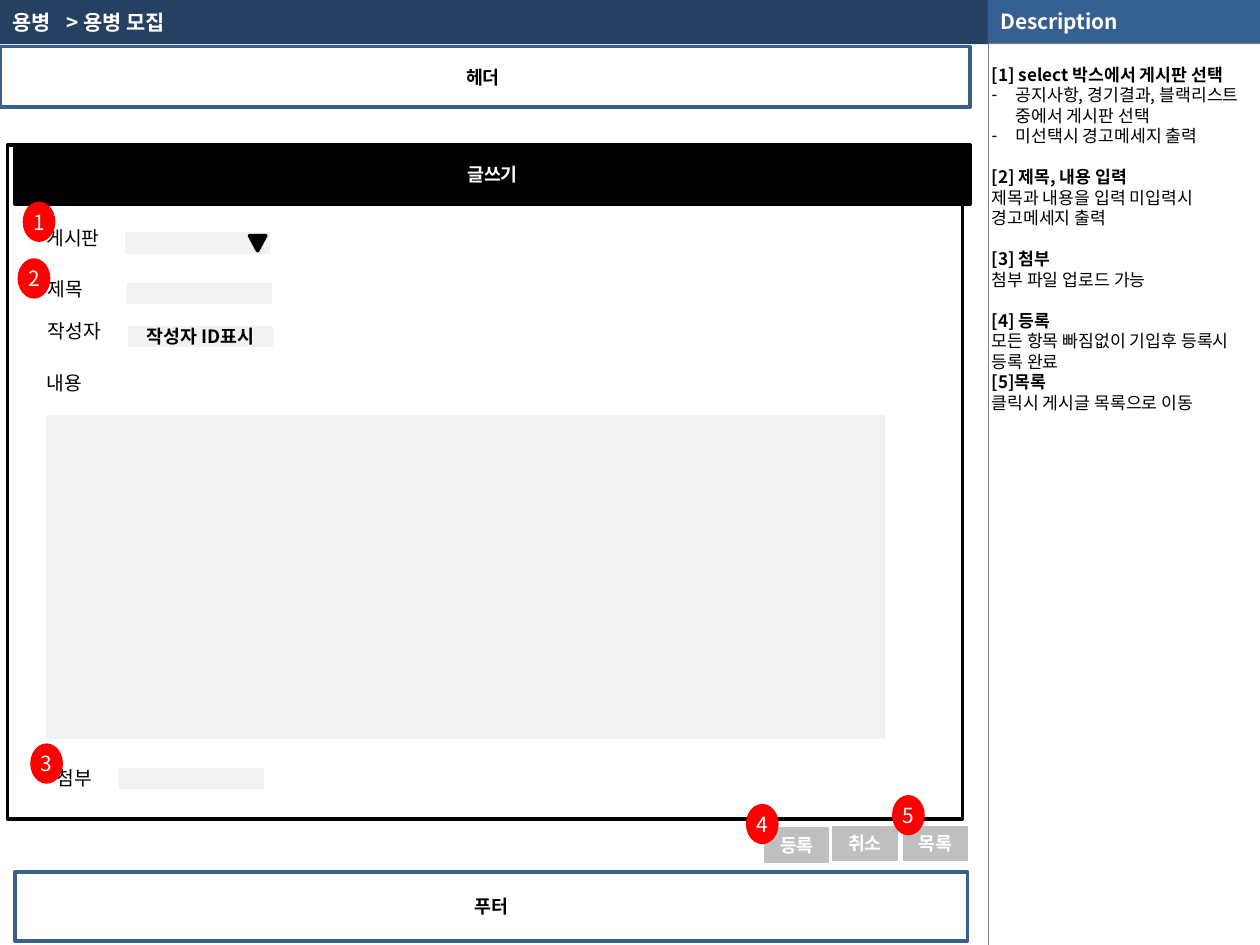
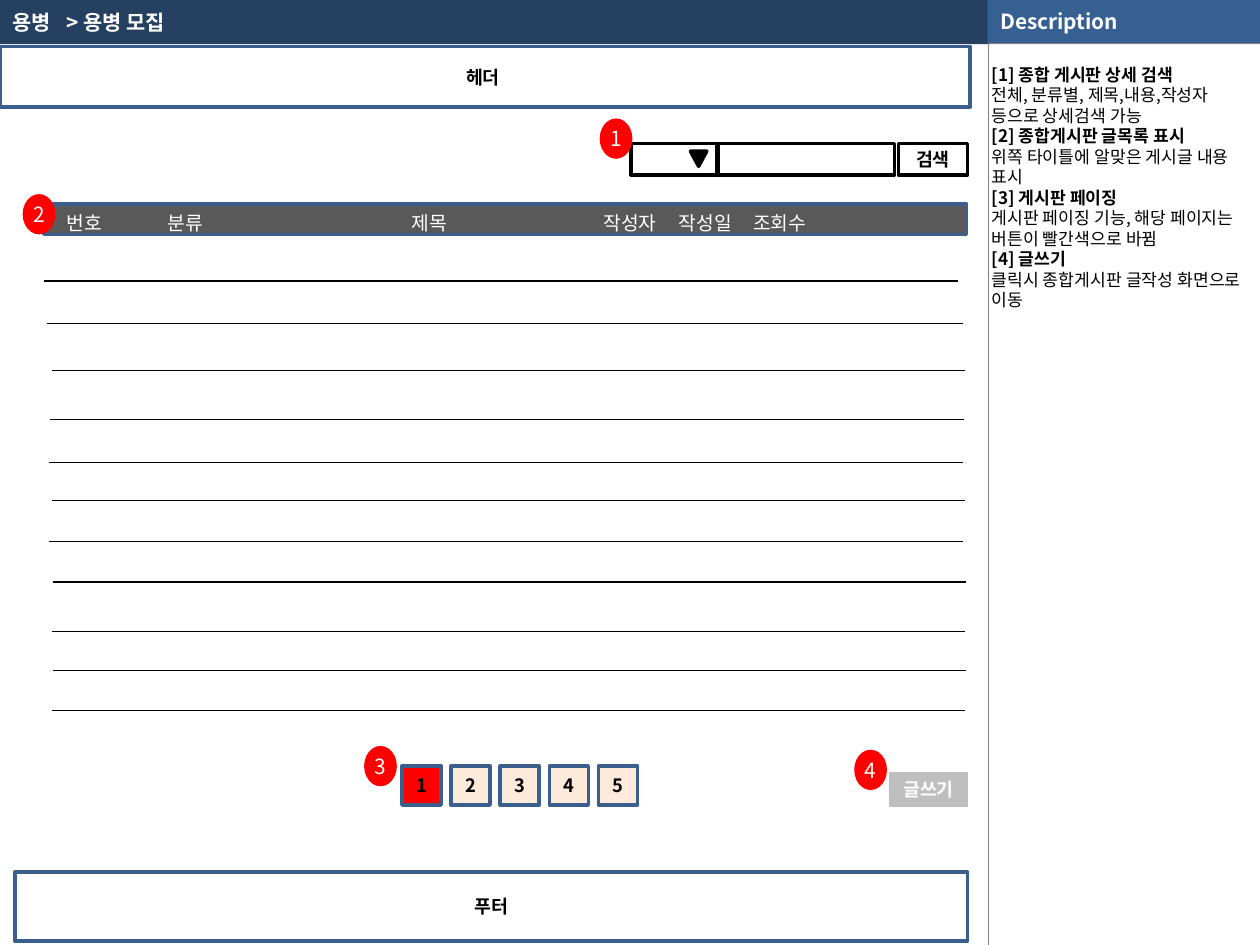
from dataclasses import dataclass

from lxml.etree import SubElement
from pptx import Presentation
from pptx.dml.color import RGBColor as Rgb
from pptx.enum.shapes import MSO_CONNECTOR as Link, MSO_SHAPE as Form
from pptx.enum.text import MSO_ANCHOR as Anchor, MSO_AUTO_SIZE as Fit, PP_ALIGN as Align
from pptx.oxml.ns import qn
from pptx.util import Inches, Pt


@dataclass(frozen=True)
class Theme:
    font: str = "Noto Sans CJK KR"
    navy: str = "254061"
    blue: str = "376092"
    edge: str = "3A5F8C"
    gray: str = "808080"
    rule: str = "7F7F7F"
    dark: str = "595959"
    mid: str = "BFBFBF"
    pale: str = "F2F2F2"
    peach: str = "FDEADA"
    red: str = "FF0000"
    black: str = "000000"
    white: str = "FFFFFF"
    head: float = 11.9
    label: float = 11
    box: float = 10.5
    note: float = 9.8
    lead: float = 11.7


T = Theme()

WRITE = [
    ("[1] select 박스에서 게시판 선택",
     ["- 공지사항, 경기결과, 블랙리스트 중에서 게시판 선택", "- 미선택시 경고메세지 출력"], False),
    ("[2] 제목, 내용 입력", ["제목과 내용을 입력 미입력시", "경고메세지 출력"], True),
    ("[3] 첨부", ["첨부 파일 업로드 가능"], True),
    ("[4] 등록", ["모든 항목 빠짐없이 기입후 등록시 등록 완료"], True),
    ("[5]목록", ["클릭시 게시글 목록으로 이동"], False),
]
BOARD = [
    ("[1] 종합 게시판 상세 검색", ["전체, 분류별, 제목,내용,작성자 등으로 상세검색 가능"], False),
    ("[2] 종합게시판 글목록 표시", ["위쪽 타이틀에 알맞은 게시글 내용 표시"], False),
    ("[3] 게시판 페이징", ["게시판 페이징 기능, 해당 페이지는 버튼이 빨간색으로 바뀜"], False),
    ("[4] 글쓰기", ["클릭시 종합게시판 글작성 화면으로 이동"], False),
]
ROWS = [(0.35, 2.23), (0.39, 2.57), (0.37, 2.57), (0.41, 2.94), (0.4, 3.33), (0.39, 3.67),
        (0.41, 3.97), (0.39, 4.3), (0.41, 5.01), (0.42, 4.62), (0.42, 5.32), (0.41, 5.64)]


def style(para, size, color, bold=False):
    font = para.font
    font.size = Pt(size)
    font.bold = bold
    font.color.rgb = Rgb.from_string(color)
    font.name = T.font
    props = para._p.pPr.find(qn("a:defRPr"))
    SubElement(props, qn("a:ea"), typeface=T.font)


def tabs(para, stops):
    group = SubElement(para._p.get_or_add_pPr(), qn("a:tabLst"))
    for stop in stops:
        SubElement(group, qn("a:tab"), pos=str(Inches(stop)), algn="l")


def setup(frame, anchor, side=0.1, edge=0.05, wrap=True):
    frame.word_wrap = wrap
    frame.auto_size = Fit.NONE
    frame.vertical_anchor = anchor
    frame.margin_left = frame.margin_right = Inches(side)
    frame.margin_top = frame.margin_bottom = Inches(edge)


def place(item, at):
    item.left, item.top, item.width, item.height = map(Inches, at)


def box(slide, at, fill, line=None, text="", color=T.black, form=Form.RECTANGLE):
    item = slide.shapes.add_shape(form, *map(Inches, at))
    item.shadow.inherit = False
    item.fill.solid()
    item.fill.fore_color.rgb = Rgb.from_string(fill)
    if line:
        item.line.color.rgb = Rgb.from_string(line)
        item.line.width = Pt(2)
    else:
        item.line.fill.background()
    if text:
        setup(item.text_frame, Anchor.MIDDLE, 0, 0)
        para = item.text_frame.paragraphs[0]
        para.text = text
        para.alignment = Align.CENTER
        style(para, T.box, color, True)
    return item


def badge(slide, num, x, y):
    item = box(slide, (x, y, 0.26, 0.32), T.red, form=Form.OVAL)
    setup(item.text_frame, Anchor.MIDDLE, 0, 0, False)
    para = item.text_frame.paragraphs[0]
    para.text = str(num)
    para.alignment = Align.CENTER
    style(para, T.head, T.white)


def badges(slide, spots):
    for num, (x, y) in enumerate(spots, 1):
        badge(slide, num, x, y)


def label(slide, text, at, color=T.black, stops=()):
    item = slide.shapes.add_textbox(*map(Inches, at))
    setup(item.text_frame, Anchor.MIDDLE)
    para = item.text_frame.paragraphs[0]
    para.text = text
    if stops:
        tabs(para, stops)
    style(para, T.label, color)


def rule(slide, start, end, color, width):
    item = slide.shapes.add_connector(Link.STRAIGHT, *map(Inches, start + end))
    item.line.color.rgb = Rgb.from_string(color)
    item.line.width = Pt(width)
    SubElement(item._element.spPr, qn("a:effectLst"))


def arrow(slide, x, y):
    box(slide, (x, y, 0.13, 0.12), T.black, T.black, form=Form.FLOWCHART_MERGE)


def button(slide, text, x, y, width=0.55):
    box(slide, (x, y, width, 0.31), T.mid, T.white, text, T.white)


def field(slide, x, y, text=""):
    box(slide, (x, y, 1.18, 0.2), T.pale, T.white, text)


def notes(body, groups):
    place(body, (7.83, 0.51, 2.17, 6.99))
    frame = body.text_frame
    setup(frame, Anchor.TOP, 0.04, 0)
    lines = [(text, not pos, gap and not pos)
             for head, rest, gap in groups
             for pos, text in enumerate([head, *rest])]
    for pos, (text, bold, gap) in enumerate(lines):
        para = frame.add_paragraph() if pos else frame.paragraphs[0]
        dash = text.startswith("- ")
        para.text = text[2:] if dash else text
        para.line_spacing = Pt(T.lead)
        para.space_before = Pt(T.lead if gap else 0)
        props = para._p.get_or_add_pPr()
        indent = Inches(0.19) if dash else 0
        props.set("marL", str(indent))
        props.set("indent", str(-indent))
        if dash:
            SubElement(props, qn("a:buChar"), char="-")
        else:
            SubElement(props, qn("a:buNone"))
        style(para, T.note, T.black, bold)


def page(deck, groups):
    slide = deck.slides.add_slide(deck.slide_layouts[1])
    title, body = slide.placeholders
    place(title, (0, 0, 7.84, 0.35))
    title.fill.solid()
    title.fill.fore_color.rgb = Rgb.from_string(T.navy)
    setup(title.text_frame, Anchor.MIDDLE)
    para = title.text_frame.paragraphs[0]
    para.text = "용병\t> 용병 모집"
    para.alignment = Align.LEFT
    tabs(para, [0.43])
    style(para, T.head, T.white, True)

    box(slide, (7.84, 0, 2.16, 0.35), T.gray)
    rule(slide, (7.84, 0), (7.84, 0.35), T.white, 0.25)
    rule(slide, (7.84, 0.34), (7.84, 7.5), T.rule, 0.25)
    band = box(slide, (7.84, 0, 2.16, 0.34), T.blue)
    setup(band.text_frame, Anchor.MIDDLE)
    para = band.text_frame.paragraphs[0]
    para.text = "Description"
    para.alignment = Align.LEFT
    style(para, T.head, T.white, True)

    notes(body, groups)
    box(slide, (0, 0.37, 7.7, 0.48), T.white, T.edge, "헤더 ")
    box(slide, (0.12, 6.92, 7.56, 0.55), T.white, T.edge, "푸터")
    return slide


def write(deck):
    slide = page(deck, WRITE)
    box(slide, (0.06, 1.15, 7.58, 5.35), T.white, T.black)
    box(slide, (0.12, 1.15, 7.58, 0.47), T.black, T.black, "글쓰기", T.white)
    for text, x, y in [("게시판", 0.27, 1.74), ("제목", 0.28, 2.15), ("작성자", 0.28, 2.48),
                       ("내용", 0.27, 2.89), ("첨부", 0.35, 6.03)]:
        label(slide, text, (x, y, 0.71, 0.29))
    field(slide, 0.98, 1.83)
    arrow(slide, 1.98, 1.87)
    field(slide, 0.99, 2.23)
    field(slide, 1, 2.57, "작성자 ID표시")
    box(slide, (0.35, 3.28, 6.69, 2.6), T.pale, T.white)
    field(slide, 0.93, 6.08)
    for text, x, y in [("등록", 6.05, 6.55), ("취소", 6.59, 6.54), ("목록", 7.15, 6.54)]:
        button(slide, text, x, y)
    badges(slide, [(0.18, 1.6), (0.14, 2.05), (0.24, 5.9), (5.92, 6.38), (7.08, 6.31)])


def board(deck):
    slide = page(deck, BOARD)
    button(slide, "글쓰기", 7.04, 6.11, 0.66)
    for x, width, text in [(5.01, 0.68, ""), (5.7, 1.4, ""), (7.13, 0.55, "검색")]:
        box(slide, (x, 1.14, width, 0.25), T.white, T.black, text)
    arrow(slide, 5.48, 1.2)
    box(slide, (0.35, 1.62, 7.32, 0.24), T.dark, T.edge)
    label(slide, "번호\t분류\t제목\t작성자\t작성일\t조회수", (0.43, 1.62, 7.24, 0.29),
          T.white, [0.8, 2.74, 4.26, 4.86, 5.45])
    for x, y in ROWS:
        rule(slide, (x, y), (x + 7.25, y), T.black, 0.75)
    for pos in range(5):
        box(slide, (3.19 + 0.39 * pos, 6.08, 0.31, 0.31),
            T.peach if pos else T.red, T.edge, str(pos + 1))
    badges(slide, [(4.76, 0.94), (0.18, 1.54), (2.89, 5.92), (6.78, 5.95)])


def main():
    deck = Presentation()
    deck.slide_width, deck.slide_height = Inches(10), Inches(7.5)
    write(deck)
    board(deck)
    deck.save("out.pptx")


if __name__ == "__main__":
    main()
